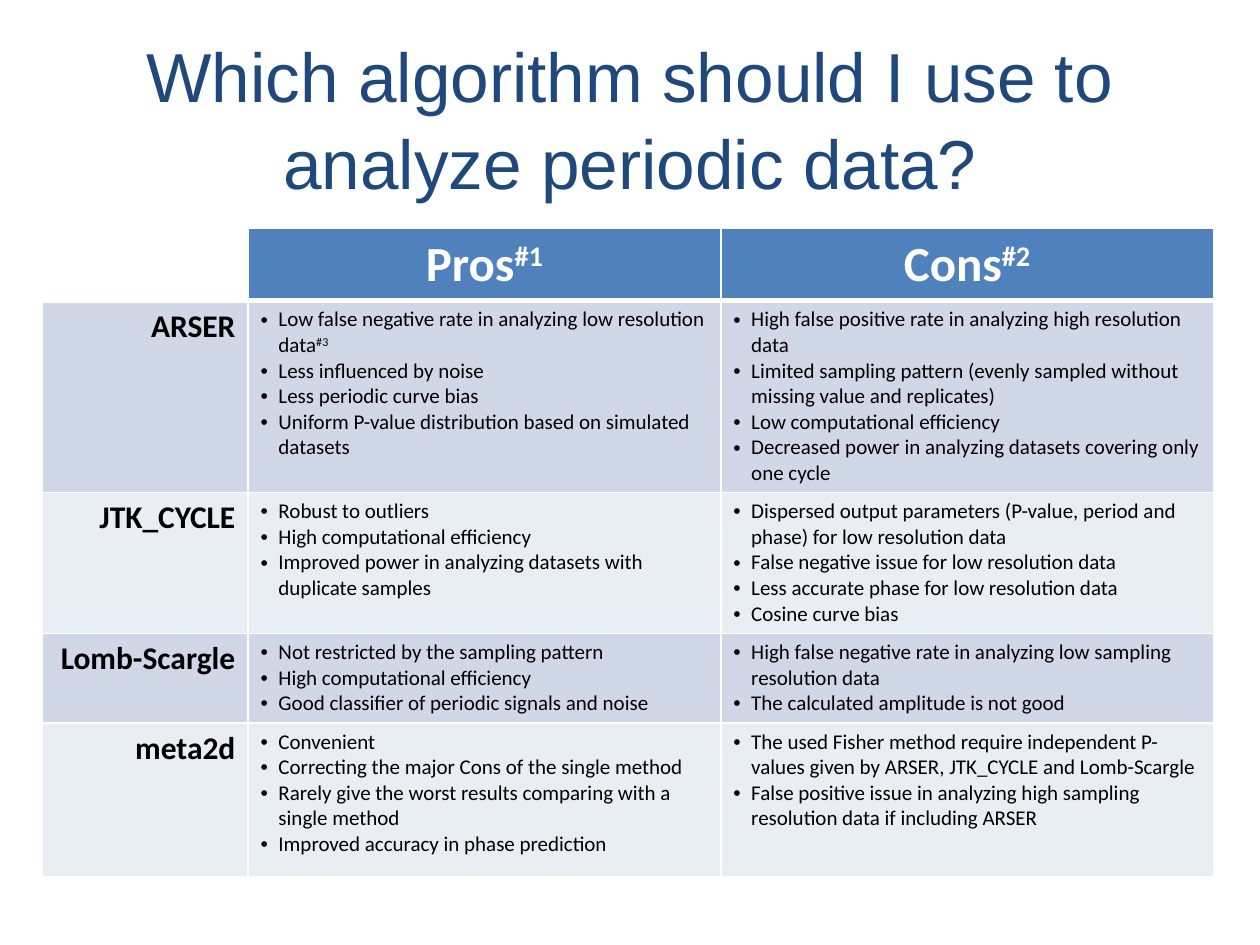
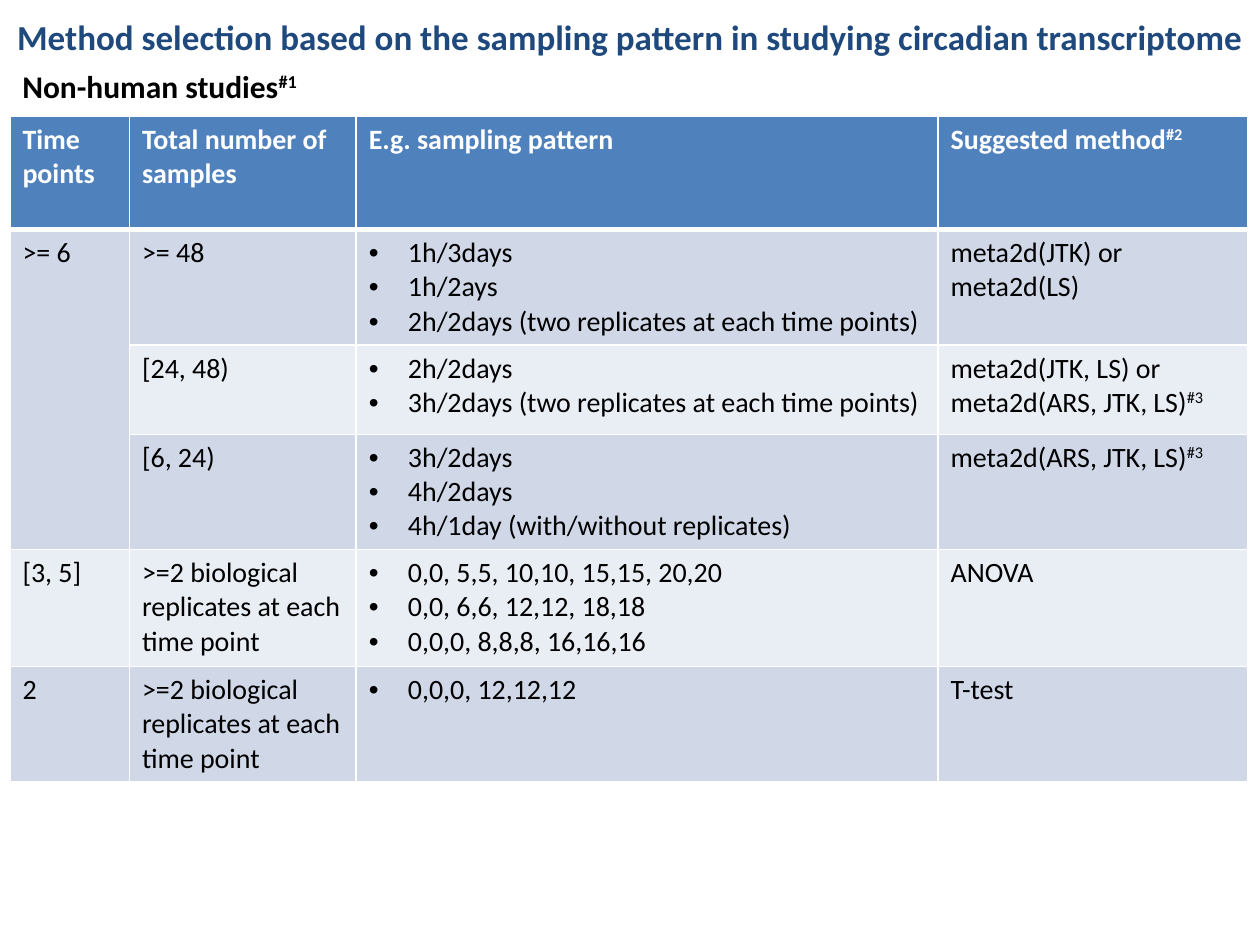
from dataclasses import dataclass

from pptx import Presentation
from pptx.dml.color import RGBColor
from pptx.enum import text as t
from pptx.oxml import parse_xml
from pptx.oxml.ns import nsdecls
from pptx.util import Cm, Pt


# Theme: colours, fonts and type sizes
@dataclass(frozen=True)
class Theme:
    navy: str = "1F497D"
    header: str = "4F81BD"
    bands: tuple = ("D0D8E8", "E9EDF4")
    white: str = "FFFFFF"
    black: str = "000000"
    body_font: str = "Calibri"
    title_font: str = "Arial"
    question_size: float = 39.6
    heading_size: float = 20
    label_size: float = 18
    pros_cons_size: float = 28
    point_size: float = 12
    sampling_size: float = 16


THEME = Theme()
LEFT, CENTER, RIGHT = t.PP_ALIGN.LEFT, t.PP_ALIGN.CENTER, t.PP_ALIGN.RIGHT

# Content: a list is a bulleted cell, None continues the cell above,
# and "#n" at the end of a text is a superscript note mark
QUESTION = "Which algorithm should I use to analyze periodic data?"
ALGORITHMS = [
    ["", "Pros#1", "Cons#2"],
    ["ARSER",
     ["Low false negative rate in analyzing low resolution data#3",
      "Less influenced by noise",
      "Less periodic curve bias",
      "Uniform P-value distribution based on simulated datasets"],
     ["High false positive rate in analyzing high resolution data",
      "Limited sampling pattern (evenly sampled without missing value and replicates)",
      "Low computational efficiency",
      "Decreased power in analyzing datasets covering only one cycle"]],
    ["JTK_CYCLE",
     ["Robust to outliers",
      "High computational efficiency",
      "Improved power in analyzing datasets with duplicate samples"],
     ["Dispersed output parameters (P-value, period and phase) for low resolution data",
      "False negative issue for low resolution data",
      "Less accurate phase for low resolution data",
      "Cosine curve bias"]],
    ["Lomb-Scargle",
     ["Not restricted by the sampling pattern",
      "High computational efficiency",
      "Good classifier of periodic signals and noise"],
     ["High false negative rate in analyzing low sampling resolution data",
      "The calculated amplitude is not good"]],
    ["meta2d",
     ["Convenient",
      "Correcting the major Cons of the single method",
      "Rarely give the worst results comparing with a single method",
      "Improved accuracy in phase prediction"],
     ["The used Fisher method require independent P-values given by ARSER, "
      "JTK_CYCLE and Lomb-Scargle",
      "False positive issue in analyzing high sampling resolution data if including ARSER"]],
]

HEADING = "Method selection based on the sampling pattern in studying circadian transcriptome"
STUDIES = "Non-human studies#1"
REPLICATES = ">=2 biological replicates at each time point"
METHODS = [
    ["Time points", "Total number of samples", "E.g. sampling pattern", "Suggested method#2"],
    [">= 6", ">= 48",
     ["1h/3days", "1h/2ays", "2h/2days (two replicates at each time points)"],
     "meta2d(JTK) or meta2d(LS)"],
    [None, "[24, 48)",
     ["2h/2days", "3h/2days (two replicates at each time points)"],
     "meta2d(JTK, LS) or meta2d(ARS, JTK, LS)#3"],
    [None, "[6, 24)",
     ["3h/2days", "4h/2days", "4h/1day (with/without replicates)"],
     "meta2d(ARS, JTK, LS)#3"],
    ["[3, 5]", REPLICATES,
     ["0,0, 5,5, 10,10, 15,15, 20,20", "0,0, 6,6, 12,12, 18,18", "0,0,0, 8,8,8, 16,16,16"],
     "ANOVA"],
    ["2", REPLICATES, ["0,0,0, 12,12,12"], "T-test"],
]


# Text
def write(paragraph, content, size, color, bold=False, align=LEFT, font=THEME.body_font):
    paragraph.alignment = align
    words, mark, number = content.partition("#")
    for part in filter(None, (words, mark + number)):
        run = paragraph.add_run()
        run.text = part
        run.font.name, run.font.size, run.font.bold = font, Pt(size), bold
        run.font.color.rgb = RGBColor.from_string(color)
        if part.startswith("#"):
            run.font._element.set("baseline", "30000")


def add_bullet(paragraph, indent):
    props = paragraph._p.get_or_add_pPr()
    props.set("marL", str(indent))
    props.set("indent", str(-indent))
    props.append(parse_xml(f'<a:buFont {nsdecls("a")} typeface="Arial"/>'))
    props.append(parse_xml(f'<a:buChar {nsdecls("a")} char="•"/>'))


def add_titled_slide(deck, title, box, **style):
    slide = deck.slides.add_slide(deck.slide_layouts[5])
    holder = slide.shapes.title
    holder.left, holder.top, holder.width, holder.height = map(Cm, box)
    frame = holder.text_frame
    frame.word_wrap, frame.auto_size = True, t.MSO_AUTO_SIZE.NONE
    frame.vertical_anchor = t.MSO_ANCHOR.MIDDLE
    write(frame.paragraphs[0], title, color=THEME.navy, align=CENTER, **style)
    return slide


# Tables
def add_borders(cell, bottom):
    for side, width in (("L", 1), ("R", 1), ("T", 1), ("B", bottom)):
        cell._tc.get_or_add_tcPr().append(parse_xml(
            f'<a:ln{side} {nsdecls("a")} w="{Pt(width)}"><a:solidFill>'
            f'<a:srgbClr val="{THEME.white}"/></a:solidFill></a:ln{side}>'))


def fill_cell(cell, content, fill, indent, style):
    if fill:
        cell.fill.solid()
        cell.fill.fore_color.rgb = RGBColor.from_string(fill)
    else:
        cell.fill.background()
    points = content if isinstance(content, list) else [content]
    frame = cell.text_frame
    for i, point in enumerate(points):
        paragraph = frame.add_paragraph() if i else frame.paragraphs[0]
        write(paragraph, point, **style)
        if isinstance(content, list):
            add_bullet(paragraph, indent)


def add_banded_table(slide, rows, left, top, widths, heights, indent, header, body, label):
    table = slide.shapes.add_table(len(rows), len(widths), Cm(left), Cm(top),
                                   Cm(sum(widths)), Cm(sum(heights))).table
    table.first_row = table.horz_banding = False
    for column, width in zip(table.columns, widths):
        column.width = Cm(width)
    for r, (row, height) in enumerate(zip(rows, heights)):
        table.rows[r].height = Cm(height)
        for c, content in enumerate(row):
            cell = table.cell(r, c)
            add_borders(cell, bottom=1 if r else 3)
            if content is None:
                continue
            if r == 0:
                fill, style = content and THEME.header, header
            else:
                fill, style = THEME.bands[(r - 1) % 2], body if c else label
            fill_cell(cell, content, fill, Cm(indent), style)
    # Join each first-column cell with the rows that continue it
    for r in range(1, len(rows)):
        last = r
        while last + 1 < len(rows) and rows[last + 1][0] is None:
            last += 1
        if last > r and rows[r][0] is not None:
            table.cell(r, 0).merge(table.cell(last, 0))


# Slides
def add_algorithm_slide(deck):
    slide = add_titled_slide(deck, QUESTION, (1.27, 0.76, 22.86, 3.18),
                             size=THEME.question_size, font=THEME.title_font)
    slide.shapes.title.text_frame.paragraphs[0].line_spacing = 1.04
    add_banded_table(
        slide, ALGORITHMS, 0.86, 4.6, widths=(4.14, 9.53, 9.93),
        heights=(1.37, 3.25, 2.84, 1.75, 3.1), indent=0.36,
        header=dict(size=THEME.pros_cons_size, color=THEME.white, bold=True, align=CENTER),
        body=dict(size=THEME.point_size, color=THEME.black),
        label=dict(size=THEME.label_size, color=THEME.black, bold=True, align=RIGHT))


def add_method_slide(deck):
    slide = add_titled_slide(deck, HEADING, (0, 0, 25.4, 1.47),
                             size=THEME.heading_size, bold=True)
    body = dict(size=THEME.sampling_size, color=THEME.black)
    add_banded_table(
        slide, METHODS, 0.2, 2.34, widths=(2.41, 4.57, 11.73, 6.25),
        heights=(2.29, 2.18, 1.8, 1.9, 2.36, 2.11), indent=0.79,
        header=dict(size=THEME.sampling_size, color=THEME.white, bold=True),
        body=body, label=body)
    studies = slide.shapes.add_textbox(Cm(0.2), Cm(1.22), Cm(7.62), Cm(1.02)).text_frame
    studies.word_wrap = True
    write(studies.paragraphs[0], STUDIES, THEME.label_size, THEME.black, bold=True)


def main():
    deck = Presentation()
    deck.slide_width, deck.slide_height = Cm(25.4), Cm(19.05)
    add_algorithm_slide(deck)
    add_method_slide(deck)
    deck.save("out.pptx")


if __name__ == "__main__":
    main()
